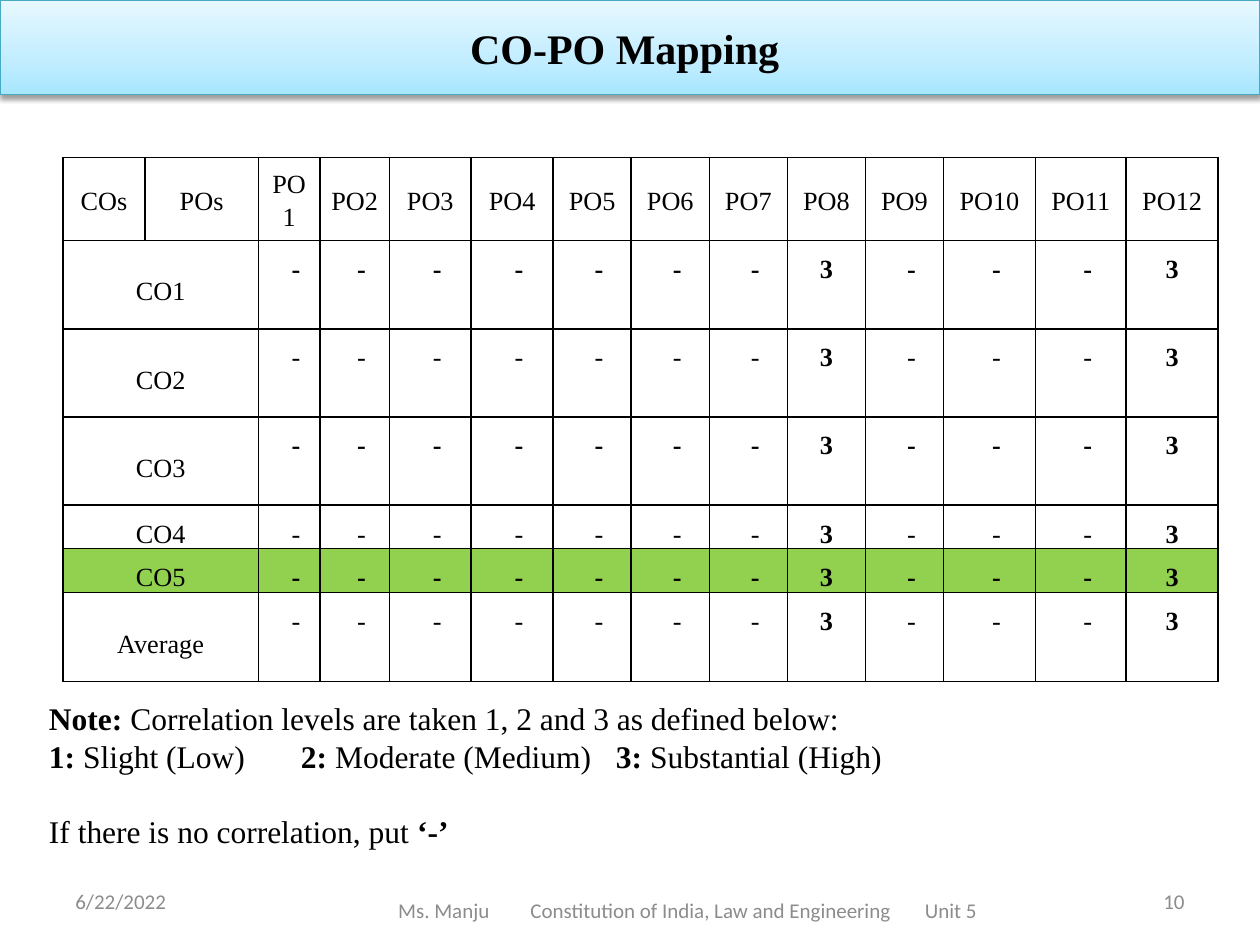
from pptx import Presentation
from pptx.dml.color import RGBColor
from pptx.enum.shapes import MSO_SHAPE
from pptx.enum.text import MSO_ANCHOR, PP_ALIGN
from pptx.oxml import parse_xml
from pptx.oxml.ns import nsdecls, qn
from pptx.util import Inches, Pt

BLACK = RGBColor(0x00, 0x00, 0x00)
WHITE = RGBColor(0xFF, 0xFF, 0xFF)
GRAY = RGBColor(0x8C, 0x8C, 0x8C)
GREEN = RGBColor(0x92, 0xD0, 0x50)
TEAL = RGBColor(0x46, 0xAA, 0xC5)
BANNER_STOPS = [
    (0, RGBColor(0xA7, 0xE6, 0xFF)),
    (35, RGBColor(0xC1, 0xED, 0xFF)),
    (100, RGBColor(0xE7, 0xF8, 0xFF)),
]

SERIF = "Times New Roman"
SANS = "Calibri"

COLUMN_WIDTHS = [0.65, 0.9, 0.49, 0.55, 0.65, 0.65] + [0.62] * 5 + [0.73, 0.72, 0.73]
HEADER_HEIGHT = 0.66
# label, height, fill, bold dashes
OUTCOMES = [
    ("CO1", 0.7, WHITE, True),
    ("CO2", 0.7, WHITE, False),
    ("CO3", 0.7, None, True),
    ("CO4", 0.33, None, False),
    ("CO5", 0.33, GREEN, True),
    ("Average", 0.71, None, False),
]
PO_COUNT = 12
SUBSTANTIAL_POS = (8, 12)


def add_span(para, text, size, font=SERIF, color=BLACK, bold=False):
    span = para.add_run()
    span.text = text
    span.font.name = font
    span.font.size = Pt(size)
    span.font.color.rgb = color
    span.font.bold = bold


def add_banner(page, text):
    """Title bar with an upward gradient and a soft shadow below."""
    banner = page.shapes.add_shape(MSO_SHAPE.RECTANGLE, 0, 0, Inches(10), Inches(0.75))
    banner.line.color.rgb = TEAL
    banner.line.width = Pt(0.75)
    stops = "".join(
        f'<a:gs pos="{position * 1000}"><a:srgbClr val="{color}"/></a:gs>'
        for position, color in BANNER_STOPS
    )
    properties = banner._element.spPr
    properties.find(qn("a:prstGeom")).addnext(parse_xml(
        f'<a:gradFill {nsdecls("a")} rotWithShape="1"><a:gsLst>{stops}</a:gsLst>'
        '<a:lin ang="16200000" scaled="0"/></a:gradFill>'
    ))
    properties.append(parse_xml(
        f'<a:effectLst {nsdecls("a")}><a:outerShdw blurRad="{Pt(3.1)}" dist="{Pt(1.6)}" '
        'dir="5400000" rotWithShape="0"><a:srgbClr val="000000"><a:alpha val="38000"/>'
        '</a:srgbClr></a:outerShdw></a:effectLst>'
    ))
    frame = banner.text_frame
    frame.word_wrap = True
    frame.vertical_anchor = MSO_ANCHOR.MIDDLE
    para = frame.paragraphs[0]
    para.alignment = PP_ALIGN.CENTER
    add_span(para, text, 24, bold=True)


def set_borders(cell):
    properties = cell._tc.get_or_add_tcPr()
    for index, side in enumerate(("lnL", "lnR", "lnT", "lnB")):
        properties.insert(index, parse_xml(
            f'<a:{side} {nsdecls("a")} w="{Pt(1)}"><a:solidFill>'
            f'<a:srgbClr val="{BLACK}"/></a:solidFill></a:{side}>'
        ))


def style_cell(cell, fill):
    cell.margin_left = cell.margin_right = Inches(0.07)
    cell.margin_top = cell.margin_bottom = 0
    if fill is None:
        cell.fill.background()
    else:
        cell.fill.solid()
        cell.fill.fore_color.rgb = fill
    set_borders(cell)


def write_cell(cell, text, spacing, bold=False, middle=False, indent=0):
    cell.vertical_anchor = MSO_ANCHOR.MIDDLE if middle else MSO_ANCHOR.TOP
    para = cell.text_frame.paragraphs[0]
    para.alignment = PP_ALIGN.CENTER
    para.line_spacing = spacing
    if indent:
        para._p.get_or_add_pPr().set("marL", str(Inches(indent)))
    add_span(para, text, 15, bold=bold)


def add_mapping_table(page):
    table = page.shapes.add_table(
        len(OUTCOMES) + 1, len(COLUMN_WIDTHS),
        Inches(0.5), Inches(1.25), Inches(9.17), Inches(4.22),
    ).table
    table.first_row = False
    table.horz_banding = False
    for column, width in zip(table.columns, COLUMN_WIDTHS):
        column.width = Inches(width)
    heights = [HEADER_HEIGHT] + [outcome[1] for outcome in OUTCOMES]
    fills = [None] + [outcome[2] for outcome in OUTCOMES]
    for row, height, fill in zip(table.rows, heights, fills):
        row.height = Inches(height)
        for cell in row.cells:
            style_cell(cell, fill)

    headings = ["COs", "POs"] + [f"PO{number}" for number in range(1, PO_COUNT + 1)]
    for index, heading in enumerate(headings):
        write_cell(table.cell(0, index), heading, 1.15, middle=True)

    for row, (label, _, _, bold_dashes) in enumerate(OUTCOMES, start=1):
        table.cell(row, 0).merge(table.cell(row, 1))
        write_cell(table.cell(row, 0), label, 1.5, middle=True)
        for number in range(1, PO_COUNT + 1):
            cell = table.cell(row, number + 1)
            if number in SUBSTANTIAL_POS:
                write_cell(cell, "3", 1.5, bold=True)
            else:
                write_cell(cell, "-", 1.5, bold=bold_dashes, indent=0.11)


def add_text_frame(page, left, top, width, height):
    box = page.shapes.add_textbox(Inches(left), Inches(top), Inches(width), Inches(height))
    frame = box.text_frame
    frame.word_wrap = True
    frame.vertical_anchor = MSO_ANCHOR.MIDDLE
    return frame


def add_note(page):
    lines = [
        [("Note: ", True),
         ("Correlation levels are taken 1, 2 and 3 as defined below:", False)],
        [("1: ", True), ("Slight (Low)", False),
         ("\t2: ", True), ("Moderate (Medium)", False),
         ("\t3: ", True), ("Substantial (High)", False)],
        [("If there is no correlation, put", False), (" ‘-’", True)],
    ]
    frame = add_text_frame(page, 0.29, 5.49, 9.59, 1.31)
    for index, line in enumerate(lines):
        para = frame.add_paragraph() if index else frame.paragraphs[0]
        para.alignment = PP_ALIGN.JUSTIFY
        for text, bold in line:
            add_span(para, text, 18, bold=bold)
    para.space_before = Pt(21)


def add_footer(page, left, width, height, texts, align=PP_ALIGN.LEFT, inset=0.1, tabs=()):
    frame = add_text_frame(page, left, 6.95, width, height)
    frame.margin_left = Inches(inset)
    para = frame.paragraphs[0]
    para.alignment = align
    if tabs:
        stops = "".join(f'<a:tab pos="{Inches(tab)}" algn="l"/>' for tab in tabs)
        para._p.get_or_add_pPr().append(
            parse_xml(f'<a:tabLst {nsdecls("a")}>{stops}</a:tabLst>'))
    for text in texts:
        add_span(para, text, 12, SANS, GRAY)


def main():
    deck = Presentation()
    deck.slide_width, deck.slide_height = Inches(10), Inches(7.5)
    page = deck.slides.add_slide(deck.slide_layouts[6])
    add_banner(page, "CO-PO Mapping ")
    add_mapping_table(page)
    add_note(page)
    add_footer(page, 0.5, 2.33, 0.4, ["6/22/2022"])
    add_footer(
        page, 2.42, 6.08, 0.55,
        ["Ms. Manju", "\tConstitution of India, Law and Engineering", "\tUnit 5"],
        inset=0.74, tabs=(1.05, 4.18),
    )
    add_footer(page, 7.17, 2.33, 0.4, ["10"], PP_ALIGN.RIGHT)
    deck.save("out.pptx")


if __name__ == "__main__":
    main()
